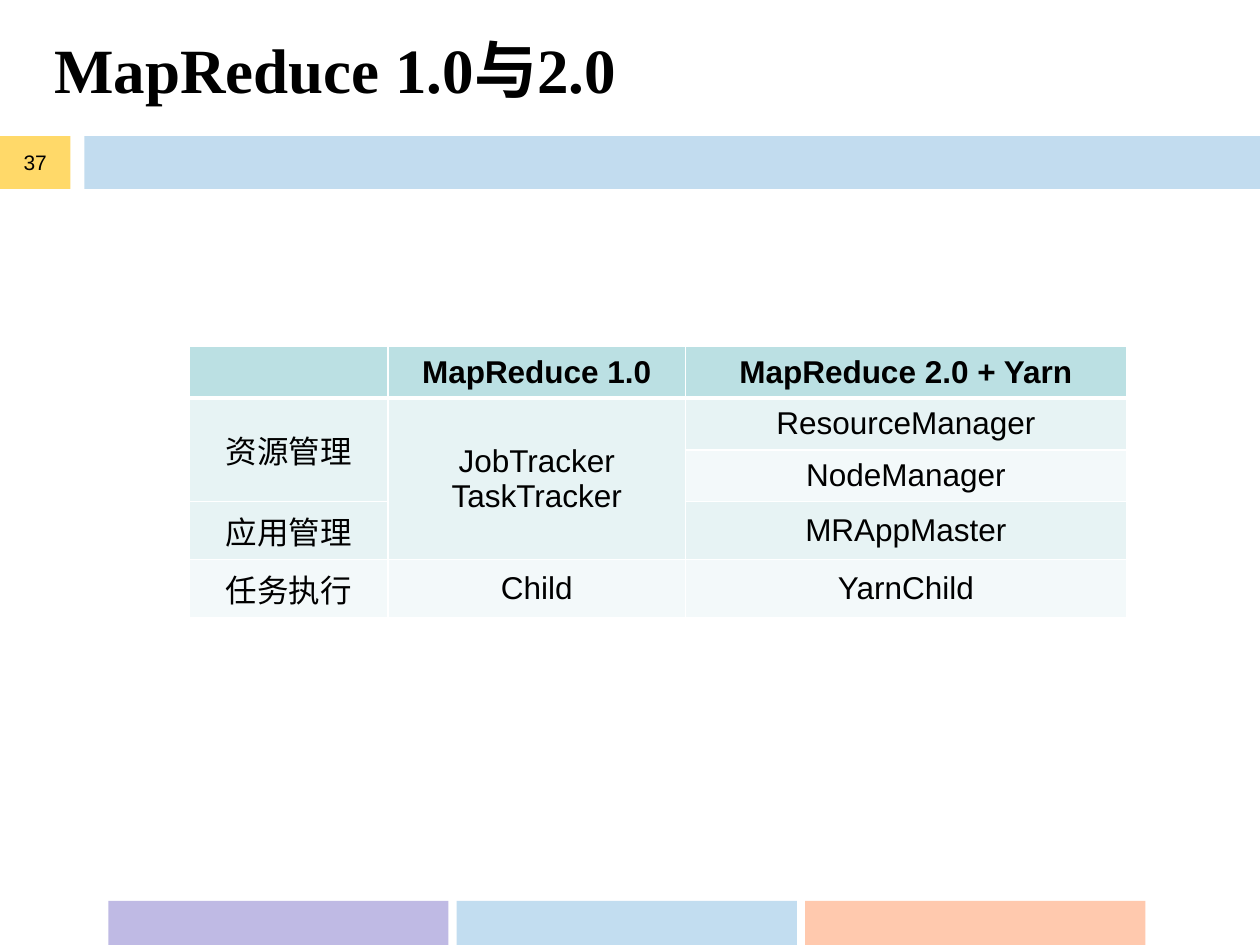
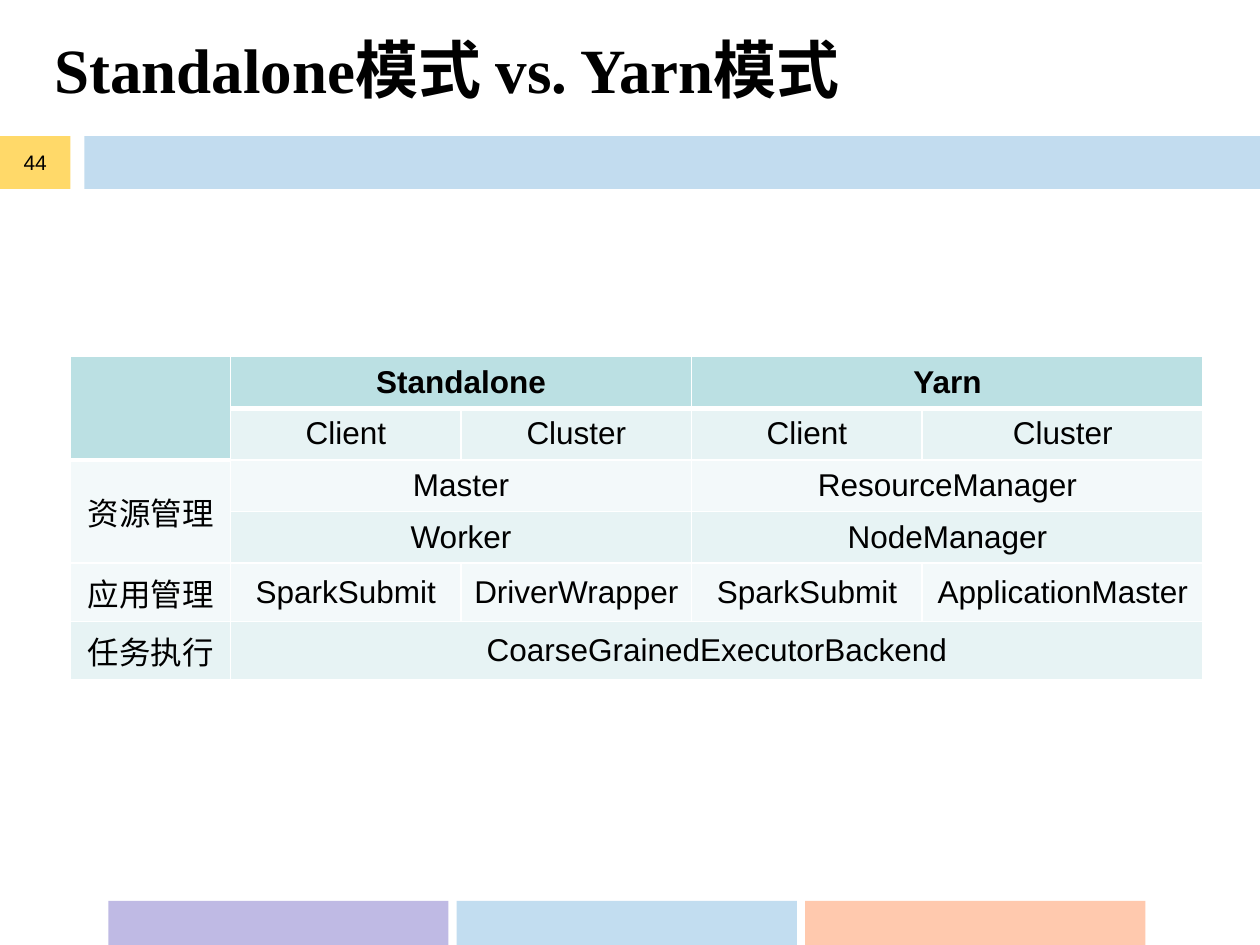
from lxml import etree
from pptx import Presentation
from pptx.dml.color import RGBColor
from pptx.enum.shapes import MSO_SHAPE
from pptx.enum.text import MSO_ANCHOR, PP_ALIGN
from pptx.oxml.ns import qn
from pptx.util import Inches, Pt

# Content: None marks a cell covered by a merge; merges are (row, column, last row, last column)
SLIDES = [
    {
        "title": "MapReduce 1.0与2.0",
        "number": "37",
        "position": (1.5, 2.75),
        "columns": [1.58, 2.36, 3.5],
        "rows": [
            ["", "MapReduce 1.0", "MapReduce 2.0 + Yarn"],
            ["资源管理", "JobTracker\nTaskTracker", "ResourceManager"],
            [None, None, "NodeManager"],
            ["应用管理", None, "MRAppMaster"],
            ["任务执行", "Child", "YarnChild"],
        ],
        "merges": [(1, 0, 2, 0), (1, 1, 3, 1)],
    },
    {
        "title": "Standalone模式 vs. Yarn模式",
        "number": "44",
        "position": (0.56, 2.83),
        "columns": [1.27, 1.83, 1.83, 1.83, 2.23],
        "rows": [
            ["", "Standalone", None, "Yarn", None],
            [None, "Client", "Cluster", "Client", "Cluster"],
            ["资源管理", "Master", None, "ResourceManager", None],
            [None, "Worker", None, "NodeManager", None],
            ["应用管理", "SparkSubmit", "DriverWrapper", "SparkSubmit", "ApplicationMaster"],
            ["任务执行", "CoarseGrainedExecutorBackend", None, None, None],
        ],
        "merges": [(0, 0, 1, 0), (0, 1, 0, 2), (0, 3, 0, 4), (2, 0, 3, 0), (2, 1, 2, 2),
                   (2, 3, 2, 4), (3, 1, 3, 2), (3, 3, 3, 4), (5, 1, 5, 4)],
    },
]

# Shared style
BLACK, WHITE = "000000", "FFFFFF"
HEADER_FILL = "BBE0E3"
BAND_FILLS = ["F3F9FA", "E7F3F4"]
ROW_HEIGHT = 0.41
BAND_TOP, BAND_HEIGHT = 1.08, 0.42
FOOTER_LEFT, FOOTER_TOP, FOOTER_STEP = 0.86, 7.15, 2.765
FOOTER_BARS = [("BFBAE4", 100), ("C2DDF0", 100), ("FF9966", 53)]


def color(value):
    return RGBColor.from_string(value)


def style_paragraph(paragraph, size, font_name="Arial", bold=False, align=PP_ALIGN.CENTER):
    paragraph.alignment = align
    font = paragraph.font
    font.name, font.size, font.bold = font_name, Pt(size), bold
    font.color.rgb = color(BLACK)


def add_bar(slide, left, top, width, height, fill, opacity=100):
    shape = slide.shapes.add_shape(
        MSO_SHAPE.RECTANGLE, Inches(left), Inches(top), Inches(width), Inches(height))
    shape.shadow.inherit = False
    shape.line.fill.background()
    shape.fill.solid()
    shape.fill.fore_color.rgb = color(fill)
    if opacity < 100:
        fill_color = shape.fill._xPr.find(".//" + qn("a:srgbClr"))
        etree.SubElement(fill_color, qn("a:alpha"), val=str(opacity * 1000))
    return shape


def add_frame(slide, title_text, number):
    # Footer bars, header band and page number
    for index, (fill, opacity) in enumerate(FOOTER_BARS):
        add_bar(slide, FOOTER_LEFT + index * FOOTER_STEP, FOOTER_TOP, 2.7, 0.36, fill, opacity)
    add_bar(slide, 0.67, BAND_TOP, 9.33, BAND_HEIGHT, "0070C0", 24)
    number_box = add_bar(slide, 0, BAND_TOP, 0.56, BAND_HEIGHT, "FFC000", 59)
    number_box.text_frame.text = number
    number_box.text_frame.vertical_anchor = MSO_ANCHOR.MIDDLE
    style_paragraph(number_box.text_frame.paragraphs[0], 12)

    # Title
    title = slide.shapes.title
    title.left, title.top = Inches(0.33), Inches(-0.08)
    title.width, title.height = Inches(9.39), Inches(1.25)
    title.text_frame.text = title_text
    title.text_frame.vertical_anchor = MSO_ANCHOR.MIDDLE
    style_paragraph(title.text_frame.paragraphs[0], 36, "Times New Roman", True, PP_ALIGN.LEFT)


def set_borders(cell, bottom_width):
    properties = cell._tc.get_or_add_tcPr()
    for side, width in (("lnL", 1), ("lnR", 1), ("lnB", bottom_width)):
        line = etree.SubElement(properties, qn("a:" + side), w=str(Pt(width)))
        fill = etree.SubElement(line, qn("a:solidFill"))
        etree.SubElement(fill, qn("a:srgbClr"), val=WHITE)


def add_comparison_table(slide, position, columns, rows, merges):
    left, top = position
    table = slide.shapes.add_table(
        len(rows), len(columns), Inches(left), Inches(top),
        Inches(sum(columns)), Inches(ROW_HEIGHT * len(rows))).table
    for column, width in zip(table.columns, columns):
        column.width = Inches(width)
    for row in table.rows:
        row.height = Inches(ROW_HEIGHT)

    # The header is the first row and any cell merged into it
    header_cells = {(0, column) for column in range(len(columns))}
    for first_row, first_column, last_row, last_column in merges:
        table.cell(first_row, first_column).merge(table.cell(last_row, last_column))
        if first_row == 0:
            header_cells.update((row, first_column) for row in range(last_row + 1))

    for row_index, row in enumerate(rows):
        for column_index, text in enumerate(row):
            cell = table.cell(row_index, column_index)
            is_header = (row_index, column_index) in header_cells
            set_borders(cell, 3 if is_header else 1)
            cell.fill.solid()
            cell.fill.fore_color.rgb = color(HEADER_FILL if is_header else BAND_FILLS[row_index % 2])
            cell.vertical_anchor = MSO_ANCHOR.MIDDLE
            cell.text_frame.text = text or ""
            for paragraph in cell.text_frame.paragraphs:
                style_paragraph(paragraph, 18, bold=is_header)


def main():
    presentation = Presentation()
    presentation.slide_width, presentation.slide_height = Inches(10), Inches(7.5)
    title_only = presentation.slide_layouts[5]
    for content in SLIDES:
        slide = presentation.slides.add_slide(title_only)
        add_frame(slide, content["title"], content["number"])
        add_comparison_table(slide, content["position"], content["columns"],
                             content["rows"], content["merges"])
    presentation.save("out.pptx")


if __name__ == "__main__":
    main()
